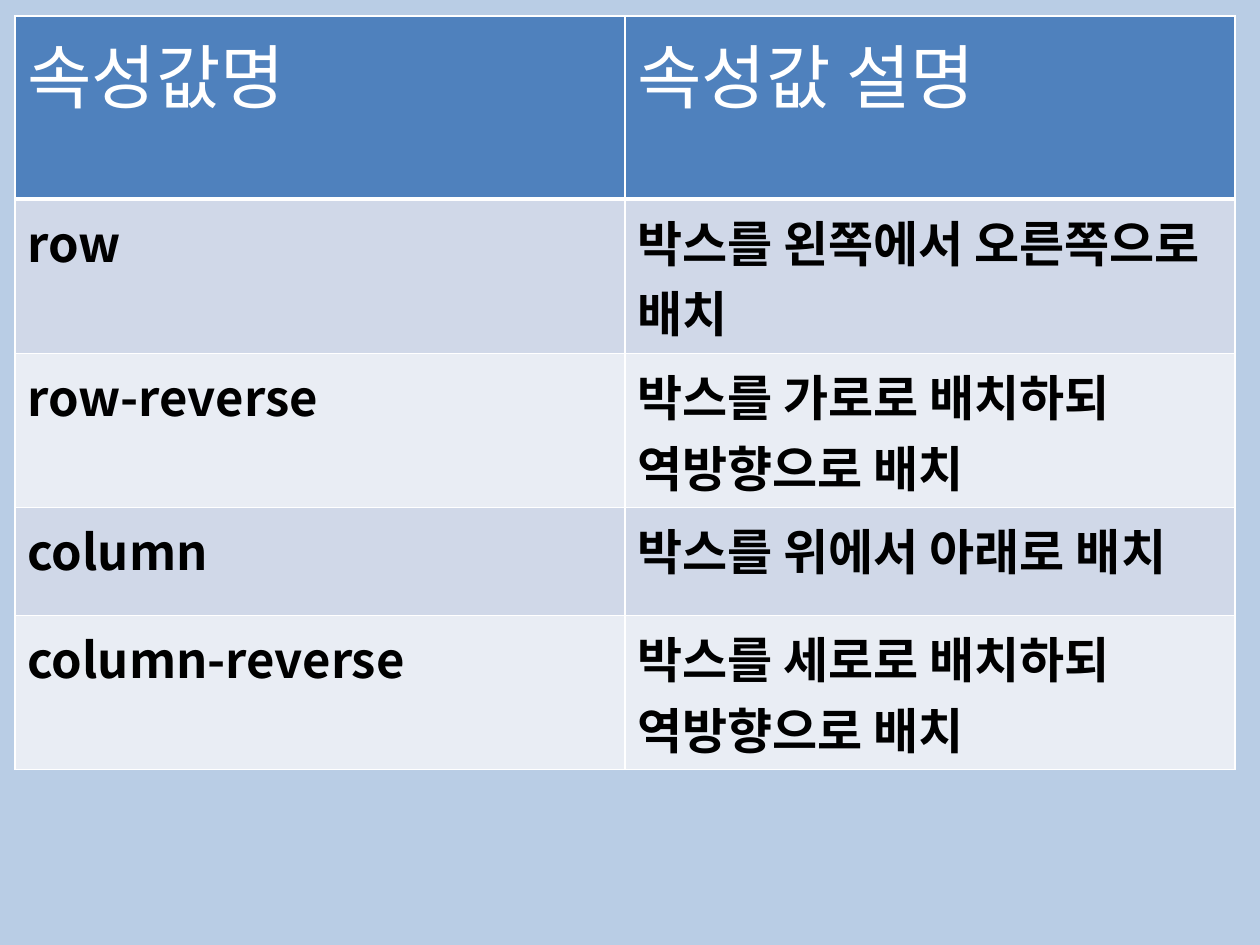
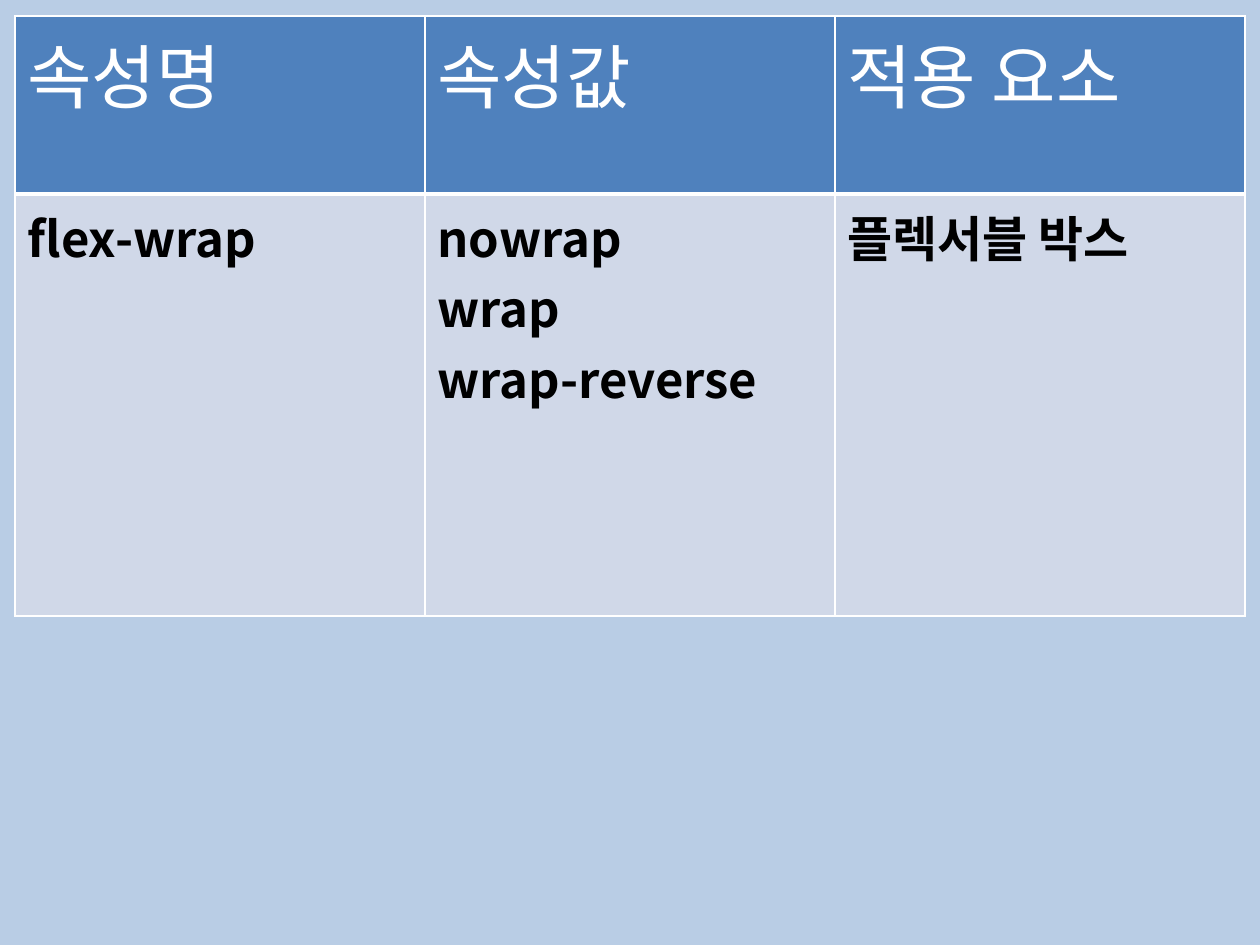
from dataclasses import dataclass

from lxml import etree
from pptx import Presentation
from pptx import util as u
from pptx.dml.color import RGBColor
from pptx.oxml import ns

EMU_PER_PIXEL = 914400 / 126


@dataclass(frozen=True)
class Theme:
    """Colours, type and line widths shared by the slides."""

    background: str = "B9CDE5"
    header_fill: str = "4F81BD"
    band_fills: tuple = ("D0D8E8", "E9EDF4")
    header_text: str = "FFFFFF"
    body_text: str = "000000"
    border: str = "FFFFFF"
    font: str = "Noto Sans CJK KR"
    header_size: int = 40
    body_size: int = 28
    thin: int = 1
    thick: int = 3


THEME = Theme()


def px(pixels):
    """Turn pixels into EMU."""
    return u.Emu(round(pixels * EMU_PER_PIXEL))


def add_slide(presentation):
    """Add a blank slide with the shared background."""
    slide = presentation.slides.add_slide(presentation.slide_layouts[6])
    fill = slide.background.fill
    fill.solid()
    fill.fore_color.rgb = RGBColor.from_string(THEME.background)
    return slide


def set_borders(cell, bottom_width):
    """Draw the four edges of a cell, the bottom one in its own width."""
    properties = cell._tc.get_or_add_tcPr()
    for index, side in enumerate("LRTB"):
        width = bottom_width if side == "B" else THEME.thin
        line = etree.Element(ns.qn(f"a:ln{side}"), w=str(u.Pt(width)))
        fill = etree.SubElement(line, ns.qn("a:solidFill"))
        etree.SubElement(fill, ns.qn("a:srgbClr"), val=THEME.border)
        properties.insert(index, line)


def style_paragraph(paragraph, size, colour, bold):
    """Set the font of a paragraph for Latin and Korean text."""
    font = paragraph.font
    font.size, font.bold, font.name = u.Pt(size), bold, THEME.font
    font.color.rgb = RGBColor.from_string(colour)
    latin = paragraph._p.find(f".//{ns.qn('a:latin')}")
    latin.addnext(etree.Element(ns.qn("a:ea"), typeface=THEME.font))


def fill_cell(cell, content, row):
    """Write and style one cell according to its row."""
    is_header = row == 0
    cell.text = content
    cell.fill.solid()
    fill = THEME.header_fill if is_header else THEME.band_fills[(row - 1) % 2]
    cell.fill.fore_color.rgb = RGBColor.from_string(fill)
    set_borders(cell, THEME.thick if is_header else THEME.thin)
    size = THEME.header_size if is_header else THEME.body_size
    colour = THEME.header_text if is_header else THEME.body_text
    for paragraph in cell.text_frame.paragraphs:
        style_paragraph(paragraph, size, colour, not is_header)


def add_property_table(slide, box, header_height, rows):
    """Place a table with equal columns and equal body rows in a box."""
    left, top, width, height = box
    column_count = len(rows[0])
    body_height = (height - header_height) / (len(rows) - 1)
    frame = slide.shapes.add_table(
        len(rows), column_count, px(left), px(top), px(width), px(height))
    table = frame.table
    for column in table.columns:
        column.width = px(width / column_count)
    for index, contents in enumerate(rows):
        table.rows[index].height = px(body_height if index else header_height)
        for column, content in enumerate(contents):
            fill_cell(table.cell(index, column), content, index)


def build_direction_slide(presentation):
    """Explain the direction values."""
    add_property_table(add_slide(presentation), (15, 16, 1220, 615), 183, [
        ("속성값명", "속성값 설명"),
        ("row", "박스를 왼쪽에서 오른쪽으로 배치"),
        ("row-reverse", "박스를 가로로 배치하되 역방향으로 배치"),
        ("column", "박스를 위에서 아래로 배치"),
        ("column-reverse", "박스를 세로로 배치하되 역방향으로 배치"),
    ])


def build_wrap_slide(presentation):
    """List the values of flex-wrap."""
    add_property_table(add_slide(presentation), (15, 16, 1230, 600), 178, [
        ("속성명", "속성값", "적용 요소"),
        ("flex-wrap", "nowrap\nwrap\nwrap-reverse", "플렉서블 박스"),
    ])


def main():
    """Build and save the presentation."""
    presentation = Presentation()
    presentation.slide_width, presentation.slide_height = px(1260), px(945)
    build_direction_slide(presentation)
    build_wrap_slide(presentation)
    presentation.save("out.pptx")


main()
